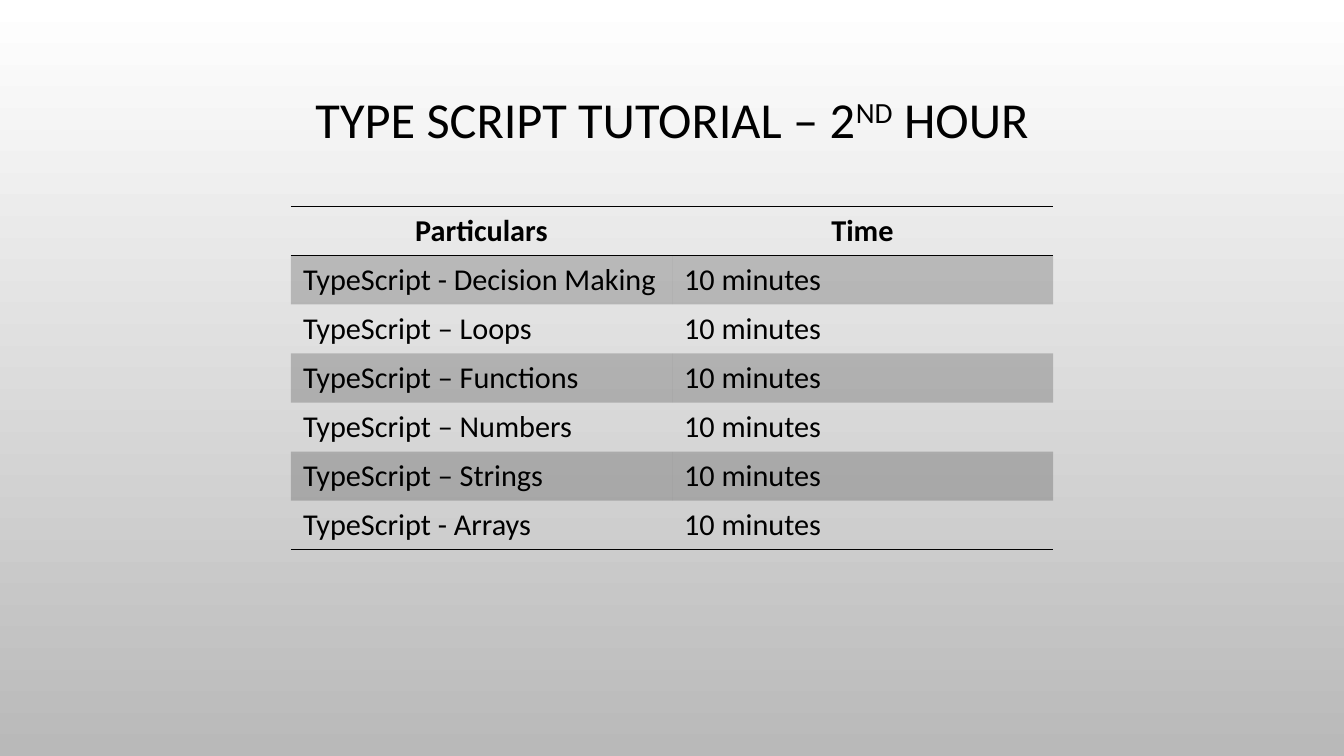
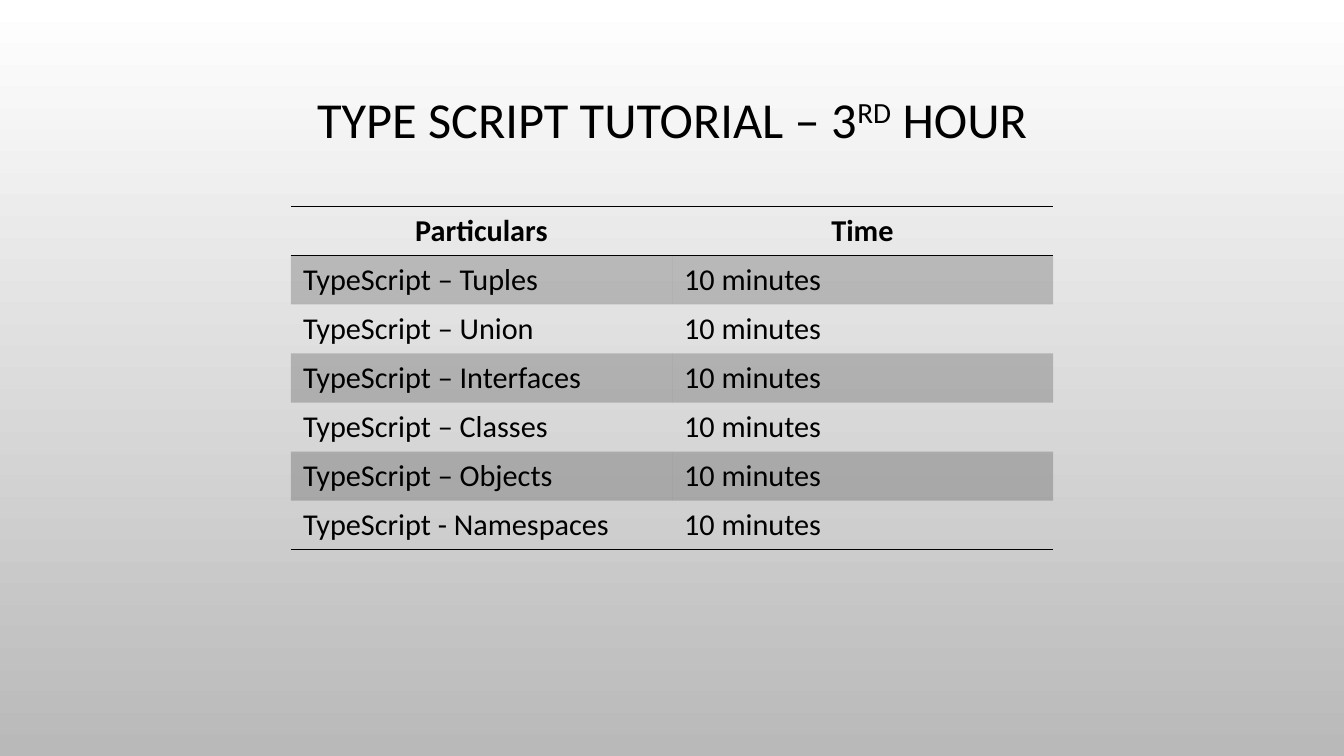
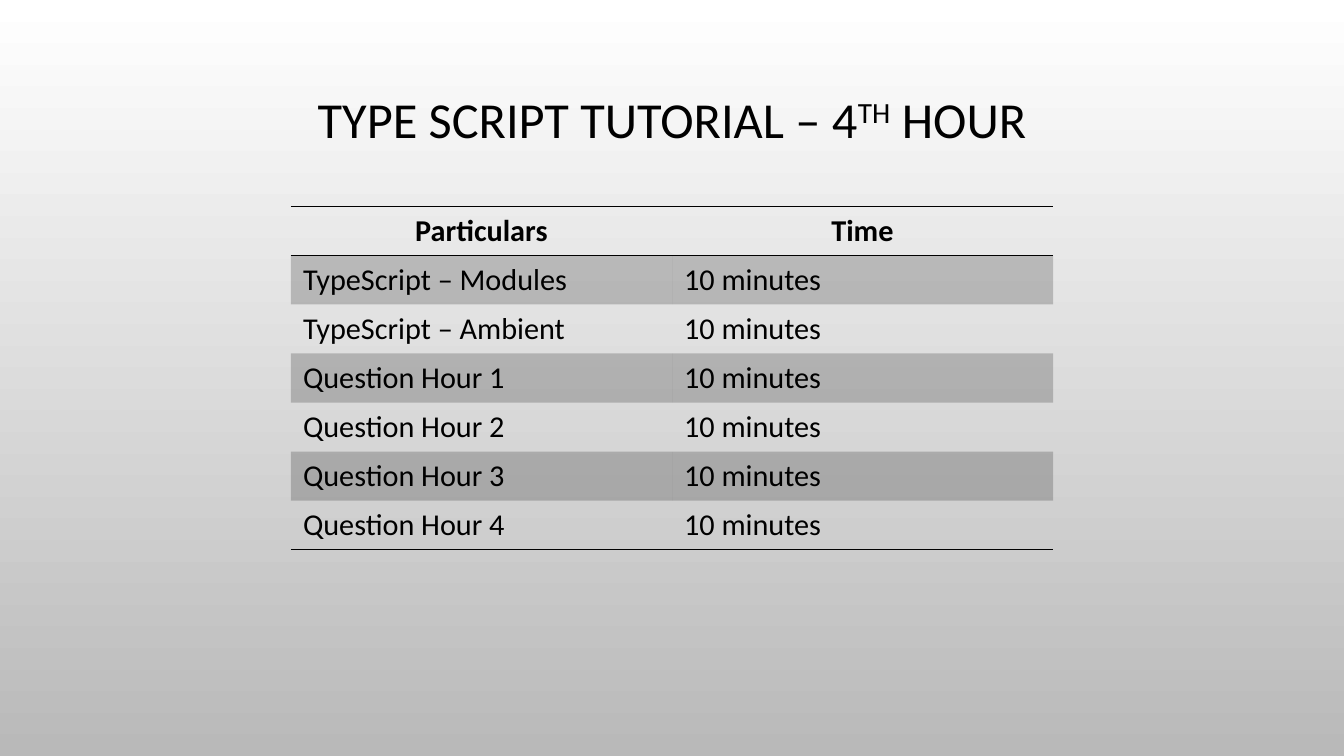
from lxml.etree import SubElement
from pptx import Presentation
from pptx.dml.color import RGBColor
from pptx.enum.text import MSO_ANCHOR, MSO_AUTO_SIZE, PP_ALIGN
from pptx.oxml import parse_xml
from pptx.oxml.ns import nsdecls, qn
from pptx.util import Pt

# Shared look
SLIDE_WIDTH, SLIDE_HEIGHT = 800, 450
BLACK = "000000"
BACKGROUND_COLOURS = ("FFFFFF", "B9B9B9")
BAND_OPACITY = 20
TITLE_BOX = {"left": 60, "top": 40, "width": 680, "height": 65.5}
TITLE_FONT = {"name": "Calibri", "size": Pt(30), "bold": False}
BODY_FONT = {"name": "Calibri", "size": Pt(18), "bold": False}
HEADER_FONT = {**BODY_FONT, "bold": True}
TABLE_TOP, COLUMN_WIDTH, ROW_HEIGHT = 122.8, 226.8, 29.2

# Content: hour, ordinal ending, topics
HEADER = ("Particulars", "Time")
DURATION = "10 minutes"
HOURS = [
    ("2", "ND", ["TypeScript - Decision Making", "TypeScript – Loops",
                 "TypeScript – Functions", "TypeScript – Numbers",
                 "TypeScript – Strings", "TypeScript - Arrays"]),
    ("3", "RD", ["TypeScript – Tuples", "TypeScript – Union",
                 "TypeScript – Interfaces", "TypeScript – Classes",
                 "TypeScript – Objects", "TypeScript - Namespaces"]),
    ("4", "TH", ["TypeScript – Modules", "TypeScript – Ambient",
                 "Question Hour 1", "Question Hour 2",
                 "Question Hour 3", "Question Hour 4"]),
]


def colour(hex_text):
    return RGBColor.from_string(hex_text)


def set_attributes(target, values):
    for name, value in values.items():
        setattr(target, name, value)


def add_run(paragraph, text, font_values):
    run = paragraph.add_run()
    run.text = text
    set_attributes(run.font, font_values)
    run.font.color.rgb = colour(BLACK)
    return run


def style_template(presentation, layout):
    """Set the gradient background and the title position for all slides."""
    fill = presentation.slide_master.background.fill
    fill.gradient()
    fill.gradient_angle = 270
    for stop, hex_text in zip(fill.gradient_stops, BACKGROUND_COLOURS):
        stop.color.rgb = colour(hex_text)
    title = layout.placeholders[0]
    set_attributes(title, {name: Pt(value) for name, value in TITLE_BOX.items()})


def add_title(slide, hour, ordinal):
    frame = slide.shapes.title.text_frame
    set_attributes(frame, {"word_wrap": True, "auto_size": MSO_AUTO_SIZE.NONE,
                           "vertical_anchor": MSO_ANCHOR.MIDDLE})
    paragraph = frame.paragraphs[0]
    set_attributes(paragraph, {"alignment": PP_ALIGN.CENTER, "line_spacing": 0.9})
    add_run(paragraph, f"TYPE SCRIPT TUTORIAL – {hour}", TITLE_FONT)
    superscript = add_run(paragraph, ordinal, TITLE_FONT)
    superscript._r.get_or_add_rPr().set("baseline", "30000")
    add_run(paragraph, " HOUR", TITLE_FONT)


def set_borders(cell, ruled_sides):
    """Rule the given sides (T, B) and clear the other sides."""
    properties = cell._tc.get_or_add_tcPr()
    for position, side in enumerate("LRTB"):
        if side in ruled_sides:
            paint = f'<a:solidFill><a:srgbClr val="{BLACK}"/></a:solidFill>'
        else:
            paint = "<a:noFill/>"
        properties.insert(position, parse_xml(
            f'<a:ln{side} {nsdecls("a")} w="{Pt(1)}">{paint}</a:ln{side}>'))


def fill_band(cell):
    cell.fill.solid()
    cell.fill.fore_color.rgb = colour(BLACK)
    tint = cell._tc.tcPr.find(".//" + qn("a:srgbClr"))
    SubElement(tint, qn("a:alpha")).set("val", str(BAND_OPACITY * 1000))


def add_schedule(slide, topics):
    rows = [HEADER] + [(topic, DURATION) for topic in topics]
    width = COLUMN_WIDTH * len(HEADER)
    table = slide.shapes.add_table(
        len(rows), len(HEADER), Pt((SLIDE_WIDTH - width) / 2), Pt(TABLE_TOP),
        Pt(width), Pt(ROW_HEIGHT * len(rows))).table
    for row_index, texts in enumerate(rows):
        is_header = row_index == 0
        ruled_sides = {0: "TB", 1: "T", len(topics): "B"}.get(row_index, "")
        for column_index, text in enumerate(texts):
            cell = table.cell(row_index, column_index)
            paragraph = cell.text_frame.paragraphs[0]
            paragraph.alignment = PP_ALIGN.CENTER if is_header else PP_ALIGN.LEFT
            add_run(paragraph, text, HEADER_FONT if is_header else BODY_FONT)
            if row_index % 2:
                fill_band(cell)
            else:
                cell.fill.background()
            set_borders(cell, ruled_sides)


def main():
    presentation = Presentation()
    set_attributes(presentation, {"slide_width": Pt(SLIDE_WIDTH),
                                  "slide_height": Pt(SLIDE_HEIGHT)})
    layout = presentation.slide_layouts.get_by_name("Title Only")
    style_template(presentation, layout)
    for hour, ordinal, topics in HOURS:
        slide = presentation.slides.add_slide(layout)
        add_title(slide, hour, ordinal)
        add_schedule(slide, topics)
    presentation.save("out.pptx")


if __name__ == "__main__":
    main()
